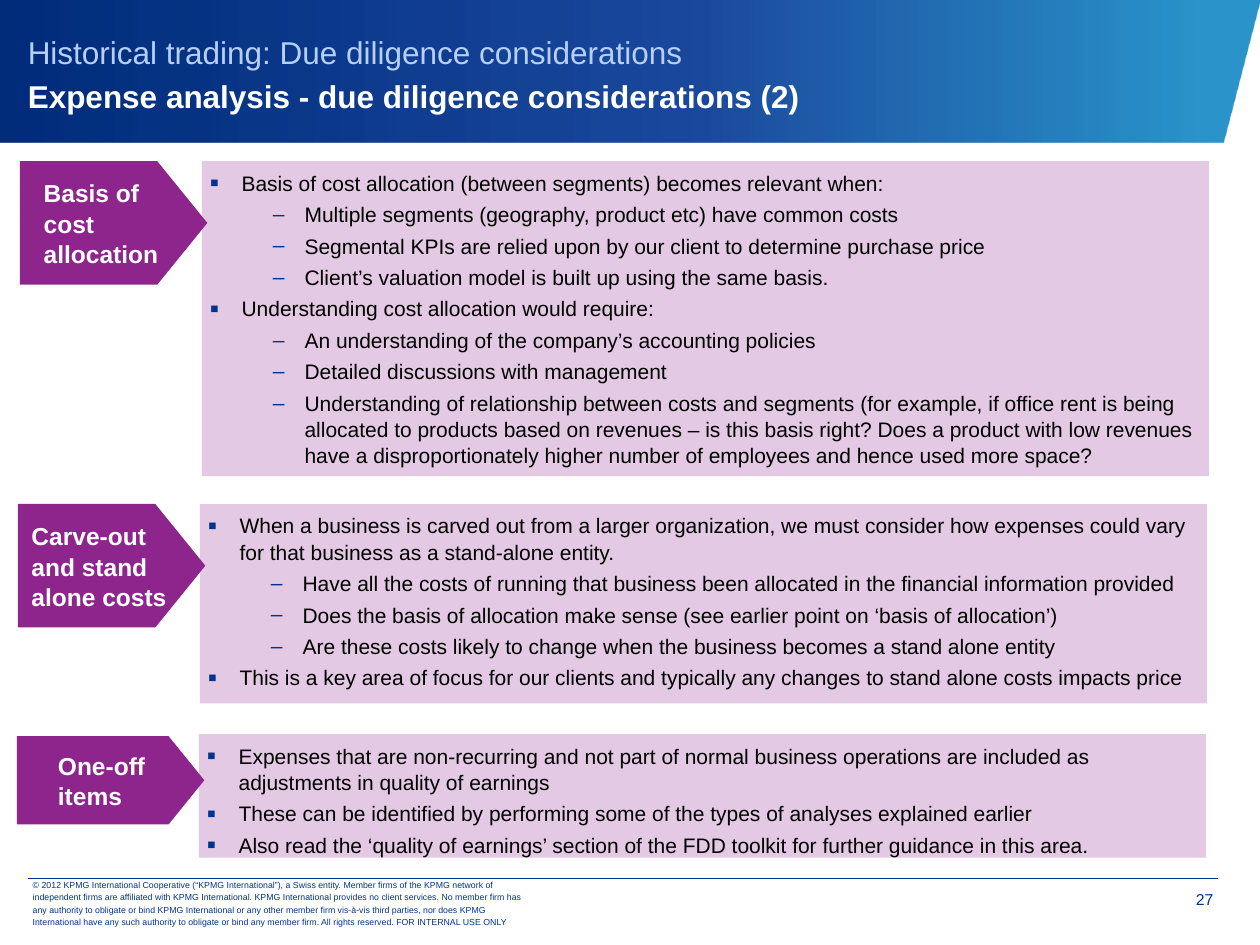
from dataclasses import dataclass

from lxml import etree
from pptx import Presentation
from pptx.dml.color import RGBColor
from pptx.enum import shapes, text
from pptx.oxml import ns
from pptx.util import Cm, Pt


@dataclass(frozen=True)
class Theme:
    """Colours, type sizes and font of the deck."""
    font: str = "Arial"
    navy: str = "00338D"
    pale_blue: str = "B5D0FF"
    white: str = "FFFFFF"
    black: str = "000000"
    purple: str = "8E258D"
    lilac: str = "E3C9E3"
    banner: tuple = ((4, "0080C0", 83), (44, "003492", 89), (100, "002C7A", 100))
    title_size: int = 18
    label_size: int = 14
    body_size: int = 12
    number_size: int = 9
    legal_size: int = 5
    leading: float = 1.04


THEME = Theme()
BULLETS = (("▪", 0.64, 125), ("–", 1.91, 100))
INSET = 0.16
PANEL_OFFSET = 3.67
PANEL_WIDTH = 20.3
ARROW_WIDTH = 3.78

SECTIONS = (
    ("Basis of cost allocation", (0.4, 3.25, 6.35), (0, 2.49), (
        (0, "Basis of cost allocation (between segments) becomes relevant when:"),
        (1, "Multiple segments (geography, product etc) have common costs"),
        (1, "Segmental KPIs are relied upon by our client to determine purchase price"),
        (1, "Client’s valuation model is built up using the same basis."),
        (0, "Understanding cost allocation would require:"),
        (1, "An understanding of the company’s accounting policies"),
        (1, "Detailed discussions with management"),
        (1, "Understanding of relationship between costs and segments (for example, if office "
            "rent is being allocated to products based on revenues – is this basis right? Does "
            "a product with low revenues have a disproportionately higher number of employees "
            "and hence used more space?"),
    )),
    ("Carve-out and stand alone costs", (0.36, 10.16, 4.02), (0, 2.49), (
        (0, "When a business is carved out from a larger organization, we must consider how "
            "expenses could vary for that business as a stand-alone entity."),
        (1, "Have all the costs of running that business been allocated in the financial "
            "information provided"),
        (1, "Does the basis of allocation make sense (see earlier point on ‘basis of allocation’)"),
        (1, "Are these costs likely to change when the business becomes a stand alone entity"),
        (0, "This is a key area of focus for our clients and typically any changes to stand "
            "alone costs impacts price"),
    )),
    ("One-off items", (0.34, 14.8, 2.49), (0.04, 1.78), (
        (0, "Expenses that are non-recurring and not part of normal business operations are "
            "included as adjustments in quality of earnings"),
        (0, "These can be identified by performing some of the types of analyses explained earlier"),
        (0, "Also read the ‘quality of earnings’ section of the FDD toolkit for further guidance "
            "in this area."),
    )),
)
LEGAL = (
    "© 2012 KPMG International Cooperative (“KPMG International”), a Swiss entity. Member firms "
    "of the KPMG network of independent firms are affiliated with KPMG International. KPMG "
    "International provides no client services. No member firm has any authority to obligate or "
    "bind KPMG International or any other member firm vis-à-vis third parties, nor does KPMG "
    "International have any such authority to obligate or bind any member firm. All rights "
    "reserved. FOR INTERNAL USE ONLY"
)


def rgb(color):
    """Turn a hex string into a colour."""
    return RGBColor.from_string(color)


def place(part, left, top, width, height):
    """Move a part to a box given in centimetres."""
    part.left, part.top, part.width, part.height = map(Cm, (left, top, width, height))


def set_frame(part, anchor, insets):
    """Prepare a wrapped text frame with left, top, right and bottom insets."""
    frame = part.text_frame
    frame.word_wrap = True
    frame.auto_size = text.MSO_AUTO_SIZE.NONE
    frame.vertical_anchor = anchor
    (frame.margin_left, frame.margin_top,
     frame.margin_right, frame.margin_bottom) = map(Cm, insets)
    return frame


def write(paragraph, words, size, color, bold=False):
    """Add one formatted run to a paragraph."""
    run = paragraph.add_run()
    run.text = words
    run.font.name = THEME.font
    run.font.size = Pt(size)
    run.font.bold = bold
    run.font.color.rgb = rgb(color)


def add_bullet(paragraph, level):
    """Give a paragraph the bullet and hanging indent of its level."""
    mark, margin, percent = BULLETS[level]
    paragraph.level = level
    properties = paragraph._p.get_or_add_pPr()
    properties.set("marL", str(Cm(margin)))
    properties.set("indent", str(-Cm(BULLETS[0][1])))
    tint = etree.SubElement(properties, ns.qn("a:buClr"))
    etree.SubElement(tint, ns.qn("a:srgbClr"), val=THEME.navy)
    etree.SubElement(properties, ns.qn("a:buSzPct"), val=str(percent * 1000))
    etree.SubElement(properties, ns.qn("a:buFont"), typeface=THEME.font)
    etree.SubElement(properties, ns.qn("a:buChar"), char=mark)


def build_banner(slide, left, top, width, height):
    """Draw the slanted gradient banner behind the two-line title."""
    slant = 0.75
    outline = slide.shapes.build_freeform(Cm(left), Cm(top + height))
    outline.add_line_segments([
        (Cm(left + width - slant), Cm(top + height)),
        (Cm(left + width), Cm(top)),
        (Cm(left), Cm(top)),
    ])
    banner = outline.convert_to_shape()
    banner.shadow.inherit = False
    banner.line.fill.background()
    banner.fill.gradient()
    banner.fill.gradient_angle = 180
    stops = banner._element.spPr.find(".//" + ns.qn("a:gsLst"))
    stops.clear()
    for position, color, opacity in THEME.banner:
        stop = etree.SubElement(stops, ns.qn("a:gs"), pos=str(position * 1000))
        tint = etree.SubElement(stop, ns.qn("a:srgbClr"), val=color)
        etree.SubElement(tint, ns.qn("a:alpha"), val=str(opacity * 1000))
    slide.shapes._spTree.insert(2, banner._element)

    title = slide.shapes.title
    place(title, left + 0.56, top + 0.33, 23.75, 2.21)
    heading = set_frame(title, text.MSO_ANCHOR.MIDDLE, (0, 0, 0, 0)).paragraphs[0]
    heading.alignment = text.PP_ALIGN.LEFT
    heading.line_spacing = Pt(25)
    write(heading, "Historical trading: Due diligence considerations",
          THEME.title_size, THEME.pale_blue)
    heading.add_line_break()
    write(heading, "Expense analysis - due diligence considerations (2)",
          THEME.title_size, THEME.white, True)


def build_section(slide, panel, section):
    """Place a bulleted panel and the arrow label pointing into it."""
    label, (left, top, height), (drop, arrow_height), points = section
    place(panel, left + PANEL_OFFSET, top, PANEL_WIDTH, height)
    panel.fill.solid()
    panel.fill.fore_color.rgb = rgb(THEME.lilac)
    frame = set_frame(panel, text.MSO_ANCHOR.TOP, (INSET,) * 4)
    for index, (level, words) in enumerate(points):
        point = frame.add_paragraph() if index else frame.paragraphs[0]
        add_bullet(point, level)
        point.alignment = text.PP_ALIGN.LEFT
        point.line_spacing = THEME.leading
        point.space_before = Pt(3 if index else 0)
        write(point, words, THEME.body_size, THEME.black)

    arrow = slide.shapes.add_shape(
        shapes.MSO_SHAPE.PENTAGON, Cm(left), Cm(top + drop), Cm(ARROW_WIDTH), Cm(arrow_height))
    arrow.adjustments[0] = 0.405
    arrow.shadow.inherit = False
    arrow.fill.solid()
    arrow.fill.fore_color.rgb = rgb(THEME.purple)
    arrow.line.fill.background()
    frame = set_frame(arrow, text.MSO_ANCHOR.MIDDLE, (INSET,) * 4)
    frame._txBody.bodyPr.set("anchorCtr", "1")
    caption = frame.paragraphs[0]
    caption.alignment = text.PP_ALIGN.LEFT
    caption.line_spacing = THEME.leading
    write(caption, label, THEME.label_size, THEME.white, True)


def build_footer(slide, left, top, width):
    """Place the rule, the copyright line and the page number."""
    rule = slide.shapes.add_connector(
        shapes.MSO_CONNECTOR.STRAIGHT, Cm(left), Cm(top), Cm(left + width), Cm(top))
    rule.line.color.rgb = rgb(THEME.navy)
    rule.line.width = Pt(0.25)
    etree.SubElement(rule._element.spPr, ns.qn("a:effectLst"))

    legal = slide.shapes.add_textbox(Cm(left - 0.15), Cm(top + 0.05), Cm(10.54), Cm(0.89))
    notice = set_frame(legal, text.MSO_ANCHOR.MIDDLE, (0.25, 0.13, 0.25, 0.13)).paragraphs[0]
    notice.line_spacing = Pt(7)
    write(notice, LEGAL, THEME.legal_size, THEME.navy)

    page = slide.shapes.add_textbox(Cm(left + 22.5), Cm(top + 0.03), Cm(1.4), Cm(0.79))
    number = set_frame(page, text.MSO_ANCHOR.TOP, (0.2, 0.2, 0, 0)).paragraphs[0]
    number.alignment = text.PP_ALIGN.RIGHT
    write(number, "27", THEME.number_size, THEME.navy)


def main():
    """Build the slide and save it."""
    deck = Presentation()
    deck.slide_width, deck.slide_height = Cm(25.4), Cm(19.05)
    slide = deck.slides.add_slide(deck.slide_layouts.get_by_name("Comparison"))
    _, *panels, spare = slide.placeholders
    for holder in (spare, *slide.placeholders):
        if holder.placeholder_format.idx > len(SECTIONS):
            slide.shapes._spTree.remove(holder._element)
            break
    build_banner(slide, 0, 0, 25.4, 2.87)
    for panel, section in zip(panels, SECTIONS):
        build_section(slide, panel, section)
    build_footer(slide, 0.56, 17.7, 24)
    deck.save("out.pptx")


if __name__ == "__main__":
    main()
